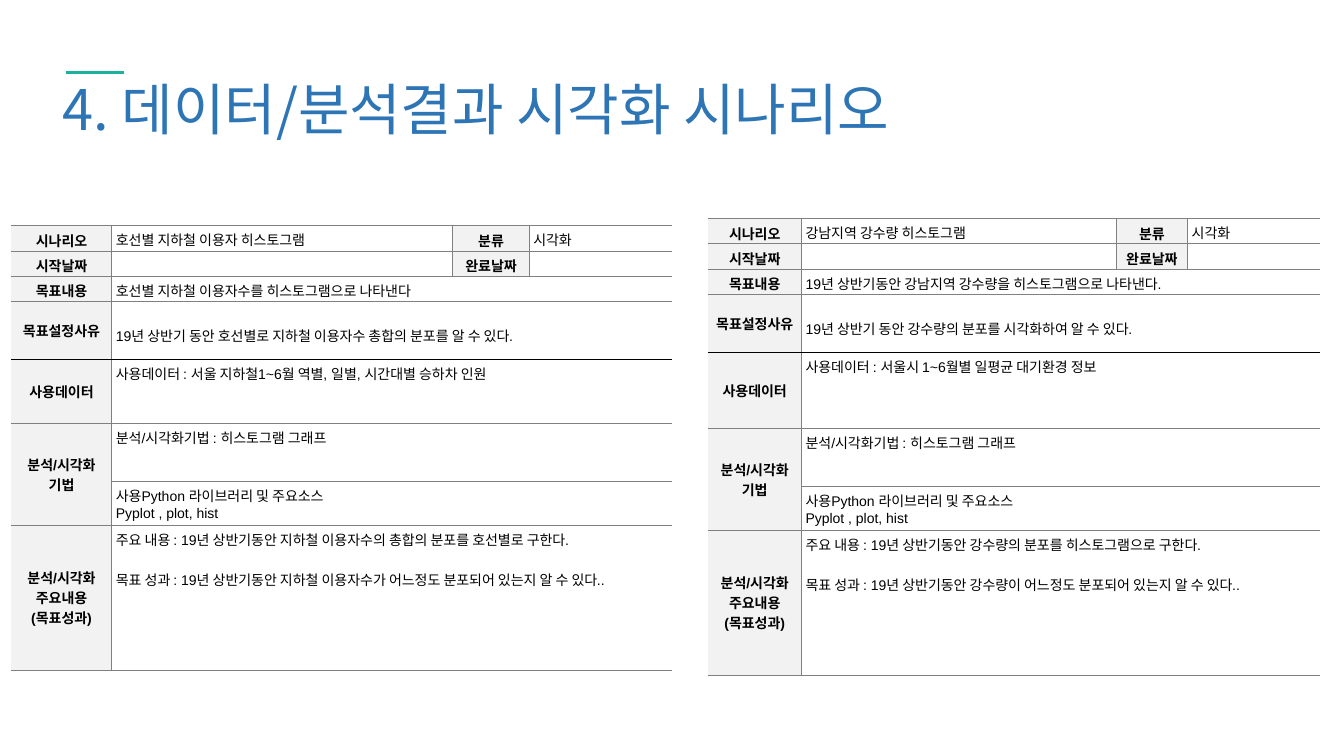
"""Build the slide with two visualisation scenario tables."""
from lxml.etree import SubElement
from pptx import Presentation
from pptx.dml.color import RGBColor
from pptx.enum.shapes import MSO_CONNECTOR
from pptx.enum.text import MSO_ANCHOR, PP_ALIGN
from pptx.oxml import parse_xml
from pptx.oxml.ns import nsdecls, qn
from pptx.util import Inches, Pt

HANGUL_FONT = "Noto Sans CJK KR"
LATIN_FONT = "Arial"
GRAY, BLACK, LABEL_FILL, WHITE = "808080", "000000", "F2F2F2", "FFFFFF"
REASON_ROW, DATA_ROW, METHOD_ROW, RESULT_ROW = 3, 4, 5, 7
LABELS = [
    ["시나리오"], ["시작날짜"], ["목표내용"], ["목표설정사유"], ["사용데이터"],
    ["분석/시각화 기법"], [], ["분석/시각화 주요내용", "(목표성과)"],
]
METHOD = ["분석/시각화기법 : 히스토그램 그래프"]
LIBRARY = ["사용Python 라이브러리 및 주요소스", "Pyplot , plot, hist"]
SUBWAY = [
    ["호선별 지하철 이용자 히스토그램"],
    [],
    ["호선별 지하철 이용자수를 히스토그램으로 나타낸다"],
    ["19년 상반기 동안 호선별로 지하철 이용자수 총합의 분포를 알 수 있다."],
    ["사용데이터 : 서울 지하철1~6월 역별, 일별, 시간대별 승하차 인원"],
    METHOD,
    LIBRARY,
    ["주요 내용 : 19년 상반기동안 지하철 이용자수의 총합의 분포를 호선별로 구한다.",
     "목표 성과 : 19년 상반기동안 지하철 이용자수가 어느정도 분포되어 있는지 알 수 있다.."],
]
RAINFALL = [
    ["강남지역 강수량 히스토그램"],
    [],
    ["19년 상반기동안 강남지역 강수량을 히스토그램으로 나타낸다."],
    ["19년 상반기 동안 강수량의 분포를 시각화하여 알 수 있다."],
    ["사용데이터 : 서울시 1~6월별 일평균 대기환경 정보"],
    METHOD,
    LIBRARY,
    ["주요 내용 : 19년 상반기동안 강수량의 분포를 히스토그램으로 구한다.",
     "목표 성과 : 19년 상반기동안 강수량이 어느정도 분포되어 있는지 알 수 있다.."],
]


def color(value):
    """Turn a hex string into a colour."""
    return RGBColor.from_string(value)


def set_font(para, size, name, value, bold=False):
    """Format a paragraph, with the Hangul font for its Korean letters."""
    font = para.font
    font.size, font.name, font.bold = Pt(size), name, bold
    font.color.rgb = color(value)
    SubElement(font._rPr, qn("a:ea"), typeface=HANGUL_FONT)


def add_title(page, text):
    """Place and format the title."""
    box = page.shapes.title
    box.left, box.top = Inches(0.52), Inches(0.8)
    box.width, box.height = Inches(8.78), Inches(1.4)
    frame = box.text_frame
    frame.text = text
    frame.word_wrap = True
    frame.vertical_anchor = MSO_ANCHOR.TOP
    para = frame.paragraphs[0]
    para.alignment = PP_ALIGN.LEFT
    para.line_spacing = 0.83
    set_font(para, 40, HANGUL_FONT, "2E75B6")


def add_accent_line(page):
    """Draw the short line above the title."""
    line = page.shapes.add_connector(
        MSO_CONNECTOR.STRAIGHT, Inches(1.23), Inches(0.72), Inches(0.65), Inches(0.72))
    line.line.color.rgb = color("1AB29D")
    line.line.width = Pt(2)
    SubElement(line._element.spPr, qn("a:effectLst"))


def set_borders(cell, borders):
    """Draw the sides of a cell; a side without a colour stays open."""
    properties = cell._tc.get_or_add_tcPr()
    for place, side in enumerate("LRTB"):
        value = borders.get(side)
        width = Pt(1) if value == BLACK else Pt(0.75)
        paint = f'<a:solidFill><a:srgbClr val="{value}"/></a:solidFill>' if value else "<a:noFill/>"
        properties.insert(place, parse_xml(
            f'<a:ln{side} {nsdecls("a")} w="{width}">{paint}</a:ln{side}>'))


def cell_borders(row, column):
    """Give the border colours of one grid place."""
    split = row < 2
    borders = {"T": GRAY, "B": GRAY}
    if column == 1 or (split and column > 1):
        borders["L"] = GRAY
    if column == 0 or (split and column < 3):
        borders["R"] = GRAY
    if row == REASON_ROW:
        borders["B"] = BLACK
    if row == DATA_ROW:
        borders["T"] = BLACK
    if row == METHOD_ROW + 1 and column == 0:
        del borders["T"]
    return borders


def fill_cell(cell, lines, label, height, name=LATIN_FONT):
    """Write the lines of a label or a body cell."""
    cell.margin_left = cell.margin_right = cell.margin_top = Inches(0.04)
    cell.margin_bottom = Inches(0 if height < 0.5 else 0.04)
    cell.vertical_anchor = MSO_ANCHOR.MIDDLE if label else MSO_ANCHOR.TOP
    cell.fill.solid()
    cell.fill.fore_color.rgb = color(LABEL_FILL if label else WHITE)
    cell.text_frame.text = "\n".join(lines)
    for para in cell.text_frame.paragraphs:
        para.alignment = PP_ALIGN.CENTER if label else PP_ALIGN.LEFT
        set_font(para, 10, name, BLACK, label)
        if not lines:
            SubElement(para._p, qn("a:endParaRPr"), sz="1000")


def add_scenario(page, left, top, widths, heights, bodies):
    """Add one scenario table."""
    table = page.shapes.add_table(
        len(heights), len(widths), Inches(left), Inches(top),
        Inches(sum(widths)), Inches(sum(heights))).table
    table.first_row = table.horz_banding = False
    for column, width in zip(table.columns, widths):
        column.width = Inches(width)
    extras = [[["분류"], ["시각화"]], [["완료날짜"], []]]
    for row, height in enumerate(heights):
        table.rows[row].height = Inches(height)
        texts = [LABELS[row], bodies[row]] + (extras[row] if row < 2 else [[], []])
        for column, lines in enumerate(texts):
            cell = table.cell(row, column)
            label = column == 0 or (row < 2 and column == 2)
            name = HANGUL_FONT if row == 0 and column == 1 else LATIN_FONT
            fill_cell(cell, lines, label, height, name)
            set_borders(cell, cell_borders(row, column))
        if row >= 2:
            table.cell(row, 1).merge(table.cell(row, 3))
    table.cell(METHOD_ROW, 0).merge(table.cell(METHOD_ROW + 1, 0))
    table.cell(REASON_ROW, 1).margin_top = Inches(0.24)
    table.cell(RESULT_ROW, 1).text_frame.paragraphs[1].space_before = Pt(14.4)


def main():
    """Build and save the deck."""
    deck = Presentation()
    deck.slide_width, deck.slide_height = Inches(13.33), Inches(7.5)
    page = deck.slides.add_slide(deck.slide_layouts[5])
    add_title(page, "4. 데이터/분석결과 시각화 시나리오")
    add_accent_line(page)
    add_scenario(page, 0.11, 2.24, [1, 3.38, 0.76, 1.42],
                 [0.25, 0.25, 0.25, 0.58, 0.63, 0.58, 0.43, 1.44], SUBWAY)
    add_scenario(page, 7.02, 2.17, [0.93, 3.12, 0.71, 1.31],
                 [0.25, 0.25, 0.25, 0.58, 0.75, 0.58, 0.43, 1.44], RAINFALL)
    deck.save("out.pptx")


if __name__ == "__main__":
    main()
